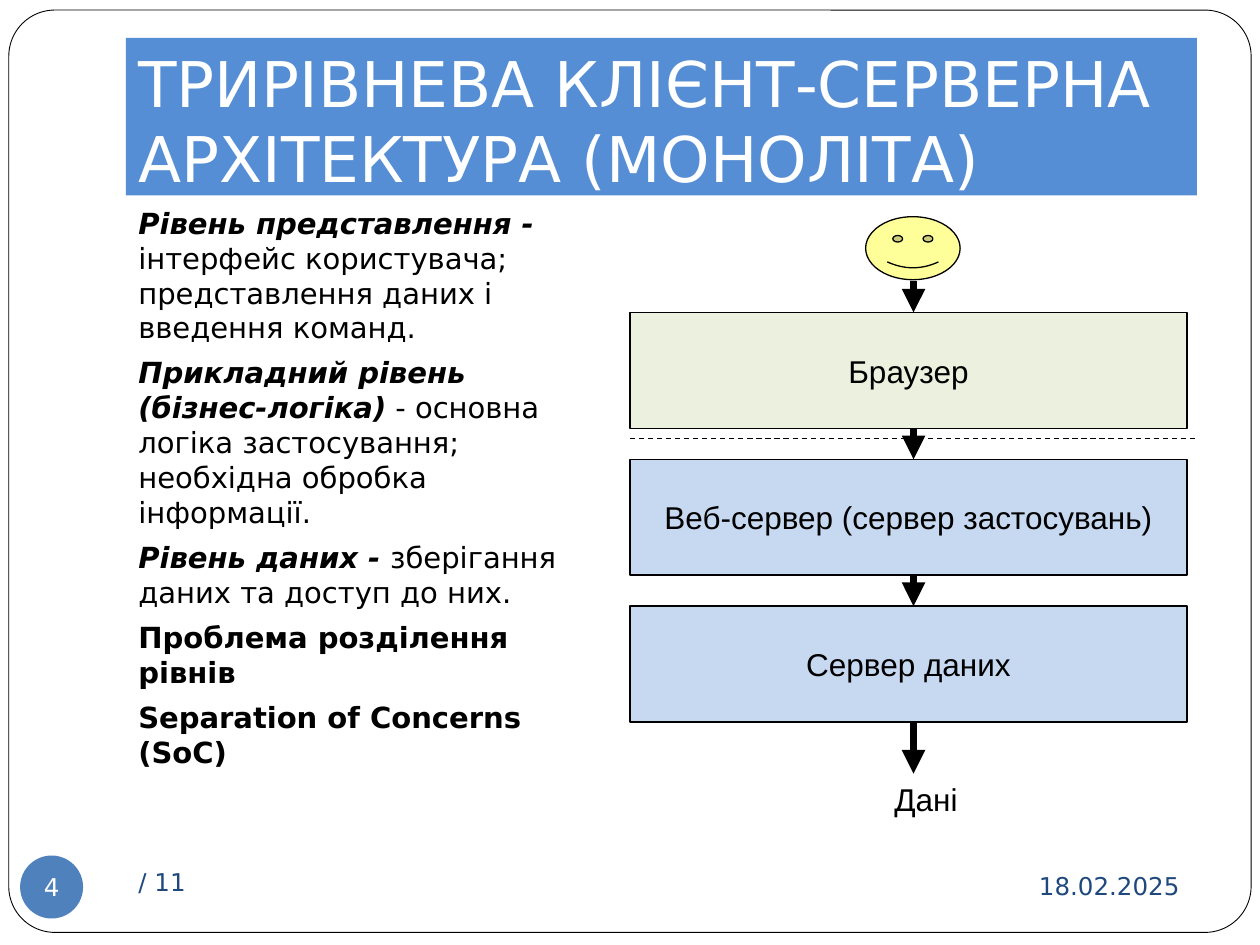
import pptx
import pptx.util
import pptx.dml.color
import pptx.enum.dml
import pptx.enum.shapes
import pptx.enum.text
import pptx.oxml.ns
import lxml.etree

Inches, Pt = pptx.util.Inches, pptx.util.Pt
RGB = pptx.dml.color.RGBColor.from_string
KIND = pptx.enum.shapes.MSO_SHAPE
ALIGN = pptx.enum.text.PP_ALIGN
ANCHOR = pptx.enum.text.MSO_ANCHOR
COLORS = {
    "white": "FFFFFF", "black": "000000", "title": "558ED5",
    "badge": "4F81BD", "navy": "1F497D", "face": "FFFF99",
    "green": "EBF1DE", "blue": "C6D9F1",
}

deck = pptx.Presentation()
deck.slide_width, deck.slide_height = Inches(10), Inches(7.5)
slide = deck.slides.add_slide(deck.slide_layouts[6])
shapes = slide.shapes


def write(paras, box, kind=None, fill=None, line=None, size=14,
          font="DejaVu Sans", color="black", align=ALIGN.LEFT,
          anchor=ANCHOR.TOP, wrap=True, pad=(0.1, 0.05, 0.1, 0.05), gap=0):
    """Add a text box or shape; each paragraph is a list of (text, style)."""
    place = [Inches(n) for n in box]
    if kind is None:
        shape = shapes.add_textbox(*place)
    else:
        shape = shapes.add_shape(kind, *place)
        shape.shadow.inherit = False
        shape.fill.solid()
        shape.fill.fore_color.rgb = RGB(COLORS[fill])
        if line:
            shape.line.color.rgb = RGB(COLORS["black"])
            shape.line.width = Pt(line)
        else:
            shape.line.fill.background()
    frame = shape.text_frame
    frame.word_wrap, frame.vertical_anchor = wrap, anchor
    (frame.margin_left, frame.margin_top,
     frame.margin_right, frame.margin_bottom) = [Inches(n) for n in pad]
    if isinstance(paras, str):
        paras = [[(paras, "")]]
    for i, runs in enumerate(paras):
        para = frame.add_paragraph() if i else frame.paragraphs[0]
        para.alignment = align
        if i:
            para.space_before = Pt(gap)
        for text, style in runs:
            run = para.add_run()
            run.text = text
            run.font.name, run.font.size = font, Pt(size)
            run.font.color.rgb = RGB(COLORS[color])
            run.font.bold, run.font.italic = "b" in style, "i" in style
    return shape


def link(x1, y1, x2, y2, width):
    line = shapes.add_connector(
        pptx.enum.shapes.MSO_CONNECTOR.STRAIGHT,
        Inches(x1), Inches(y1), Inches(x2), Inches(y2))
    line.line.color.rgb = RGB(COLORS["black"])
    line.line.width = Pt(width)
    lxml.etree.SubElement(line._element.spPr, pptx.oxml.ns.qn("a:effectLst"))
    return line


# Slide frame
frame = write([], (0.07, 0.08, 9.86, 7.32), kind=KIND.ROUNDED_RECTANGLE,
              fill="white", line=0.5)
frame.adjustments[0] = 0.05

# Title
write("ТРИРІВНЕВА КЛІЄНТ-СЕРВЕРНА АРХІТЕКТУРА (МОНОЛІТА)",
      (1, 0.3, 8.5, 1.25), kind=KIND.RECTANGLE, fill="title", size=36,
      color="white", pad=(0.1, 0.05, 0.1, 0.1))

# Footer
write("18.02.2025", (6.75, 6.77, 2.71, 0.52), color="navy",
      align=ALIGN.RIGHT, anchor=ANCHOR.MIDDLE)
write("/ 11", (1, 6.75, 4.33, 0.5), color="navy", anchor=ANCHOR.MIDDLE)
write("4", (0.16, 6.79, 0.5, 0.5), kind=KIND.OVAL, fill="badge",
      color="white", align=ALIGN.CENTER, anchor=ANCHOR.MIDDLE,
      wrap=False, pad=(0, 0, 0, 0))

# Level descriptions
levels = [
    [("Рівень представлення - ", "bi"),
     ("інтерфейс користувача; представлення даних і введення команд.", "")],
    [("Прикладний рівень (бізнес-логіка)", "bi"),
     (" - основна логіка застосування; необхідна обробка інформації.", "")],
    [("Рівень даних - ", "bi"), ("зберігання даних та доступ до них.", "")],
    [("Проблема розділення рівнів", "b")],
    [("Separation of Concerns (SoC)", "b")],
]
write(levels, (1, 1.58, 3.76, 5), size=16.6, gap=5.8)

# User, tiers and data
write([], (6.87, 1.72, 0.75, 0.5), kind=KIND.SMILEY_FACE, fill="face", line=0.75)
top, step, high = 2.48, 1.165, 0.92
tiers = [("Браузер", "green"), ("Веб-сервер (сервер застосувань)", "blue"),
         ("Сервер даних", "blue")]
for i, (name, fill) in enumerate(tiers):
    write(name, (5, top + i * step, 4.42, high), kind=KIND.RECTANGLE,
          fill=fill, line=0.75, size=18, font="Arial", align=ALIGN.CENTER,
          anchor=ANCHOR.MIDDLE, wrap=False)
write("Дані", (7, 6.14, 0.7, 0.4), size=18, font="Arial", wrap=False)

# Arrows into each tier and down to the data
ends = [(top + i * step - 0.25, top + i * step) for i in range(len(tiers))]
for start, end in ends + [(5.73, 6.14)]:
    arrow = link(7.25, start, 7.25, end, 4.5)
    lxml.etree.SubElement(arrow.line._get_or_add_ln(),
                          pptx.oxml.ns.qn("a:tailEnd"), type="triangle")

# Client and server border
border = link(5, 3.48, 9.49, 3.48, 0.75)
border.line.dash_style = pptx.enum.dml.MSO_LINE.DASH

deck.save("out.pptx")
